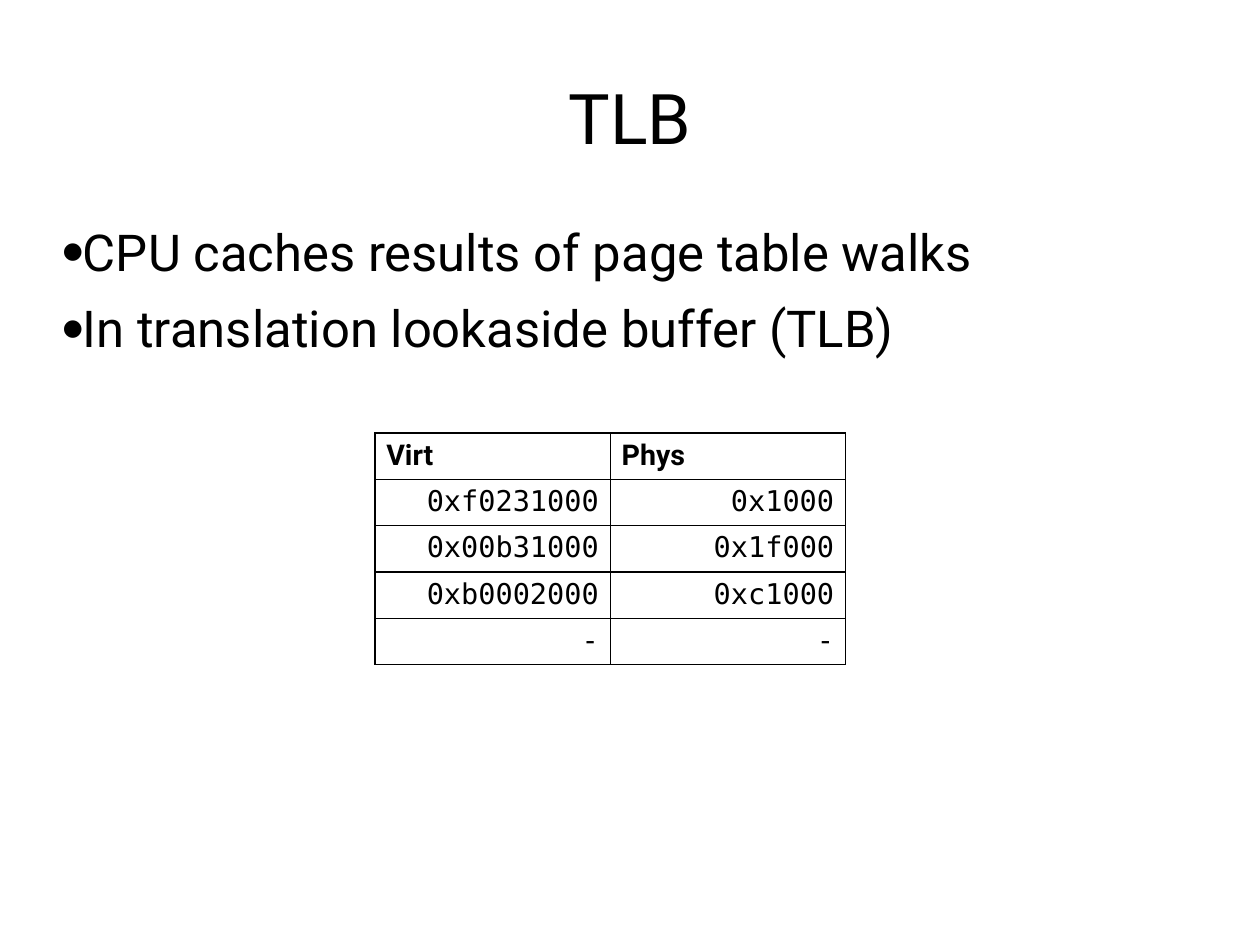
from lxml.etree import SubElement
from pptx import Presentation
from pptx.dml.color import RGBColor
from pptx.enum.text import MSO_ANCHOR as Anchor, PP_ALIGN as Align
from pptx.oxml.ns import qn
from pptx.util import Cm, Pt

COLORS = {"ink": "000000", "paper": "FFFFFF"}
SANS, MONO = "Roboto", "DejaVu Sans Mono"

POINTS = [
    ("CPU caches results of page table walks", 1.0),
    ("In translation lookaside buffer (TLB)", 0.9),
]
TLB_ENTRIES = [
    ("Virt", "Phys"),
    ("0xf0231000", "0x1000"),
    ("0x00b31000", "0x1f000"),
    ("0xb0002000", "0xc1000"),
    ("-", "-"),
]


def add_run(paragraph, text, size, font=SANS, bold=False):
    run = paragraph.add_run()
    run.text = text
    run.font.name = font
    run.font.size = Pt(size)
    run.font.bold = bold
    run.font.color.rgb = RGBColor.from_string(COLORS["ink"])


def prepare_frame(frame, anchor):
    frame.word_wrap = True
    frame.vertical_anchor = anchor
    frame.margin_left = frame.margin_right = 0
    frame.margin_top = frame.margin_bottom = 0


def set_bullet(paragraph):
    props = paragraph._p.get_or_add_pPr()
    props.set("marL", "0")
    props.set("indent", "0")
    SubElement(props, qn("a:buSzPct"), val="45000")
    SubElement(props, qn("a:buFont"), typeface=SANS)
    SubElement(props, qn("a:buChar"), char="●")


def set_borders(cell):
    props = cell._tc.get_or_add_tcPr()
    for position, side in enumerate(("a:lnL", "a:lnR", "a:lnT", "a:lnB")):
        border = props.makeelement(qn(side), {"w": str(Pt(1))})
        props.insert(position, border)
        fill = SubElement(border, qn("a:solidFill"))
        SubElement(fill, qn("a:srgbClr"), val=COLORS["ink"])


def add_title(slide, text):
    title = slide.shapes.title
    title.left, title.top = Cm(1.4), Cm(0.84)
    title.width, title.height = Cm(25.2), Cm(3.5)
    prepare_frame(title.text_frame, Anchor.MIDDLE)
    paragraph = title.text_frame.paragraphs[0]
    paragraph.alignment = Align.CENTER
    add_run(paragraph, text, 44)


def add_points(slide, points):
    box = slide.shapes.add_textbox(Cm(1.4), Cm(4.9), Cm(25.2), Cm(12.17))
    frame = box.text_frame
    prepare_frame(frame, Anchor.TOP)
    for index, (text, spacing) in enumerate(points):
        paragraph = frame.add_paragraph() if index else frame.paragraphs[0]
        paragraph.line_spacing = spacing
        paragraph.space_after = Pt(14.1)
        set_bullet(paragraph)
        add_run(paragraph, text, 32)


def add_tlb_table(slide, entries):
    row_height, column_width = Cm(1.03), Cm(5.23)
    rows, columns = len(entries), len(entries[0])
    table = slide.shapes.add_table(
        rows, columns, Cm(8.33), Cm(9.62),
        column_width * columns, row_height * rows).table
    for column in table.columns:
        column.width = column_width
    for row_index, entry in enumerate(entries):
        table.rows[row_index].height = row_height
        header = row_index == 0
        for column_index, text in enumerate(entry):
            cell = table.cell(row_index, column_index)
            cell.fill.solid()
            cell.fill.fore_color.rgb = RGBColor.from_string(COLORS["paper"])
            set_borders(cell)
            paragraph = cell.text_frame.paragraphs[0]
            paragraph.alignment = Align.LEFT if header else Align.RIGHT
            add_run(paragraph, text, 18, SANS if header else MONO, header)


def main():
    deck = Presentation()
    deck.slide_width, deck.slide_height = Cm(28), Cm(21)
    slide = deck.slides.add_slide(deck.slide_layouts[5])

    # Heading and key points
    add_title(slide, "TLB")
    add_points(slide, POINTS)

    # Cached translations
    add_tlb_table(slide, TLB_ENTRIES)

    deck.save("out.pptx")


if __name__ == "__main__":
    main()
